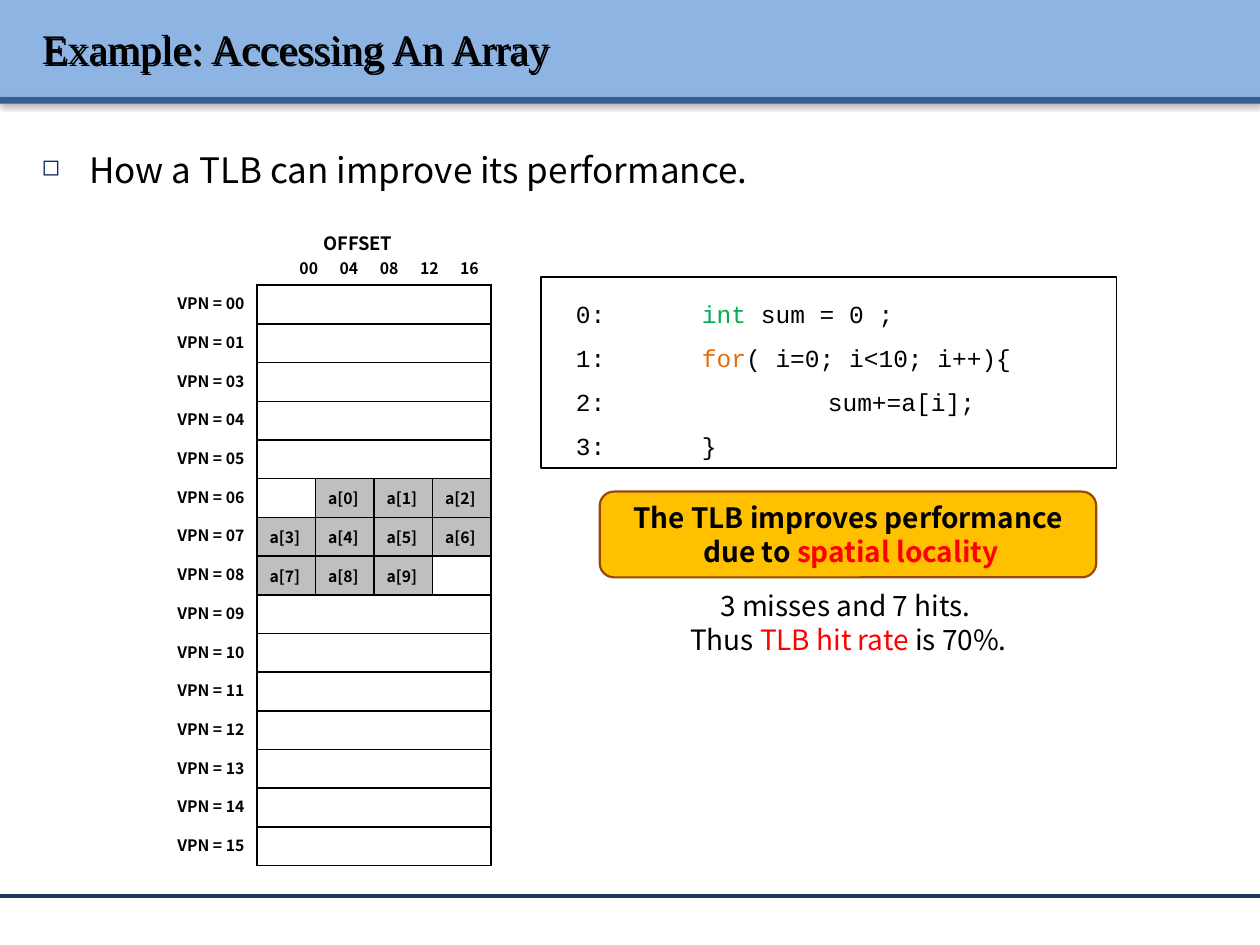
"""Build a slide on how a TLB speeds up array access."""
import pptx
import pptx.util
import pptx.dml.color
import pptx.enum.shapes
import pptx.enum.text
import pptx.oxml
import pptx.oxml.ns

Cm, Pt = pptx.util.Cm, pptx.util.Pt
RGB = pptx.dml.color.RGBColor
KIND = pptx.enum.shapes.MSO_SHAPE
LEFT, CENTER, RIGHT = (getattr(pptx.enum.text.PP_ALIGN, n) for n in ("LEFT", "CENTER", "RIGHT"))
MIDDLE = pptx.enum.text.MSO_ANCHOR.MIDDLE
NS = pptx.oxml.ns.nsdecls("a")

BLACK, WHITE, GRAY = RGB(0, 0, 0), RGB(255, 255, 255), RGB(0xBF, 0xBF, 0xBF)
SKY, BLUE, NAVY = RGB(0x8E, 0xB4, 0xE3), RGB(0x37, 0x60, 0x92), RGB(0x17, 0x37, 0x5E)
GREEN, ORANGE, RED = RGB(0, 0xB0, 0x50), RGB(0xE4, 0x6C, 0x0A), RGB(255, 0, 0)
GOLD, BROWN = RGB(255, 0xC0, 0), RGB(0x98, 0x48, 0x07)

SANS = "Noto Sans CJK KR"
HEAD = {"name": "Times New Roman", "size": Pt(24), "bold": False}
BODY = {"name": SANS, "size": Pt(20)}
NOTE = {"name": SANS, "size": Pt(16)}
CALL = {**NOTE, "bold": True}
CODE = {"name": "Courier New", "size": Pt(14)}
CELL = {"name": SANS, "size": Pt(9), "bold": True}
TOP = {**CELL, "size": Pt(10.5)}

TITLE = "Example: Accessing An Array"
POINT = "How a TLB can improve its performance."
OFFSETS = ["00", "04", "08", "12", "16"]
PAGES = ["00", "01", "03", "04", "05", "06", "07", "08",
         "09", "10", "11", "12", "13", "14", "15"]
ITEMS = {"06": ["", "a[0]", "a[1]", "a[2]"],
         "07": ["a[3]", "a[4]", "a[5]", "a[6]"],
         "08": ["a[7]", "a[8]", "a[9]", ""]}
LINES = [[("0:\t", BLACK), ("int ", GREEN), ("sum = 0 ;", BLACK)],
         [("1:\t", BLACK), ("for", ORANGE), ("( i=0; i<10; i++){", BLACK)],
         [("2:\t\tsum+=a[i];", BLACK)],
         [("3:\t}", BLACK)]]
HITS = [[("3 misses and 7 hits. ", BLACK)],
        [("Thus ", BLACK), ("TLB hit rate ", RED), ("is 70%.", BLACK)]]
CLAIM = [[("The TLB improves performance", BLACK)],
         [(" due to ", BLACK), ("spatial locality", RED)]]


def place(left, top, width, height):
    return Cm(left), Cm(top), Cm(width), Cm(height)


def shade(blur, dist, angle, alpha):
    return pptx.oxml.parse_xml(
        f'<a:effectLst {NS}><a:outerShdw blurRad="{Pt(blur)}" dist="{Pt(dist)}" '
        f'dir="{angle * 60000}" algn="ctr" rotWithShape="0"><a:srgbClr val="000000">'
        f'<a:alpha val="{alpha * 1000}"/></a:srgbClr></a:outerShdw></a:effectLst>')


def write(para, runs, style, align=LEFT, gap=None):
    para.alignment = align
    if gap:
        para.line_spacing = gap
    for text, color in runs:
        run = para.add_run()
        run.text = text
        for key, val in style.items():
            setattr(run.font, key, val)
        run.font.color.rgb = color


def fill(frame, paras, style, align=LEFT, gap=None):
    for i, runs in enumerate(paras):
        para = frame.add_paragraph() if i else frame.paragraphs[0]
        write(para, runs, style, align, gap)


def block(kind, spot, color=None, edge=None, width=1):
    shape = slide.shapes.add_shape(kind, *place(*spot))
    shape.shadow.inherit = False
    if color is None:
        shape.fill.background()
    else:
        shape.fill.solid()
        shape.fill.fore_color.rgb = color
    if edge is None:
        shape.line.fill.background()
    else:
        shape.line.color.rgb = edge
        shape.line.width = Pt(width)
    return shape


def label(shape, paras, style, align, gap, side):
    frame = shape.text_frame
    pads = {"margin_left": Cm(side[0]), "margin_right": Cm(side[1]), "margin_top": Cm(0.13),
            "margin_bottom": Cm(0.13), "word_wrap": True, "vertical_anchor": MIDDLE}
    for key, val in pads.items():
        setattr(frame, key, val)
    fill(frame, paras, style, align, gap)


def tabs(para, stops, kind="ctr"):
    inner = "".join(f'<a:tab pos="{Cm(x)}" algn="{kind}"/>' for x in stops)
    para._p.get_or_add_pPr().append(pptx.oxml.parse_xml(f"<a:tabLst {NS}>{inner}</a:tabLst>"))


def paint(cell, color, sides):
    if color is None:
        cell.fill.background()
    else:
        cell.fill.solid()
        cell.fill.fore_color.rgb = color
    for i, (side, edge) in enumerate(zip("LRTB", sides)):
        ink = f'<a:solidFill><a:srgbClr val="{edge}"/></a:solidFill>' if edge else "<a:noFill/>"
        cell._tc.get_or_add_tcPr().insert(i, pptx.oxml.parse_xml(
            f'<a:ln{side} {NS} w="{Pt(1)}">{ink}</a:ln{side}>'))


deck = pptx.Presentation()
deck.slide_width, deck.slide_height = Cm(25.4), Cm(19.05)
slide = deck.slides.add_slide(deck.slide_layouts[5])

for spot, color in (((0, 0, 25.4, 1.96), SKY), ((0, 1.96, 25.4, 0.13), BLUE)):
    bar = block(KIND.RECTANGLE, spot, color)
    props = bar._element.spPr
    props.replace(props.find(pptx.oxml.ns.qn("a:effectLst")), shade(3.1, 1.6, 90, 38))

rule = slide.shapes.add_connector(pptx.enum.shapes.MSO_CONNECTOR.STRAIGHT,
                                  Cm(0), Cm(18.06), Cm(25.4), Cm(18.06))
rule.line.color.rgb = NAVY
rule.line.width = Pt(2)
rule._element.spPr.append(pptx.oxml.parse_xml(f"<a:effectLst {NS}/>"))

body = slide.shapes.add_textbox(*place(0.59, 2.44, 24.41, 15.29)).text_frame
body.word_wrap = True
lead = body.paragraphs[0]
props = lead._p.get_or_add_pPr()
props.set("marL", str(Cm(0.96)))
props.set("indent", str(-Cm(0.96)))
for mark in ('buClr {}><a:srgbClr val="002060"/></a:buClr>', 'buSzPct {} val="65000"/>',
             'buChar {} char="◻"/>'):
    props.append(pptx.oxml.parse_xml("<a:" + mark.format(NS)))
write(lead, [(POINT, BLACK)], BODY, gap=1.5)

title = slide.shapes.title
title.left, title.top, title.width, title.height = place(0.59, 0.15, 24.41, 1.63)
title.text_frame.vertical_anchor = MIDDLE
fill(title.text_frame, [[(TITLE, BLACK)]], HEAD)
title.fill.background()
title._element.spPr.append(shade(0, 1.6, 45, 100))
slide.shapes._spTree.append(title._element)

grid = slide.shapes.add_table(len(PAGES) + 1, 5, *place(3.1, 4.5, 6.8, 12.74)).table
grid.first_row = grid.horz_banding = False
for i, col in enumerate(grid.columns):
    col.width = Cm(1.18 if i else 2.08)
for i, row in enumerate(grid.rows):
    row.height = Cm(0.78 if i else 1.04)

for cell in grid.iter_cells():
    cell.text_frame.paragraphs[0]._p.append(
        pptx.oxml.parse_xml(f'<a:endParaRPr {NS} sz="900"/>'))
for cell in grid.rows[0].cells:
    paint(cell, None, [None] * 4)
grid.cell(0, 0).merge(grid.cell(0, 4))
grid.cell(0, 0).margin_right = Cm(0)
top = grid.cell(0, 0).text_frame
fill(top, [[("\tOFFSET", BLACK)]], TOP)
tabs(top.paragraphs[0], [3.86])
marks = top.add_paragraph()
write(marks, [("".join("\t" + mark for mark in OFFSETS), BLACK)], CELL)
tabs(marks, [2.87 + 0.81 * i for i in range(len(OFFSETS))])

for r, page in enumerate(PAGES, 1):
    name = grid.cell(r, 0)
    paint(name, None, (WHITE, BLACK, WHITE if r > 1 else None, WHITE))
    fill(name.text_frame, [[("VPN = " + page, BLACK)]], CELL, RIGHT)
    for c, item in enumerate(ITEMS.get(page, [""] * 4), 1):
        cell = grid.cell(r, c)
        paint(cell, GRAY if item else None, [BLACK] * 4)
        cell.vertical_anchor = MIDDLE
        if item:
            fill(cell.text_frame, [[(item, BLACK)]], CELL)
    if page not in ITEMS:
        grid.cell(r, 1).merge(grid.cell(r, 4))

code = block(KIND.RECTANGLE, (10.9, 5.59, 11.61, 3.84), WHITE, BLACK)
label(code, LINES, CODE, LEFT, 1.5, (0.71, 0.25))
for para in code.text_frame.paragraphs:
    tabs(para, [2.54, 5.08], "l")
hits = block(KIND.ROUNDED_RECTANGLE, (13.41, 11.68, 7.39, 1.73))
label(hits, HITS, NOTE, CENTER, None, (0.3, 0.3))
claim = block(KIND.ROUNDED_RECTANGLE, (12.09, 9.91, 10.01, 1.73), GOLD, BROWN, 1.25)
label(claim, CLAIM, CALL, CENTER, None, (0.3, 0.3))

deck.save("out.pptx")
